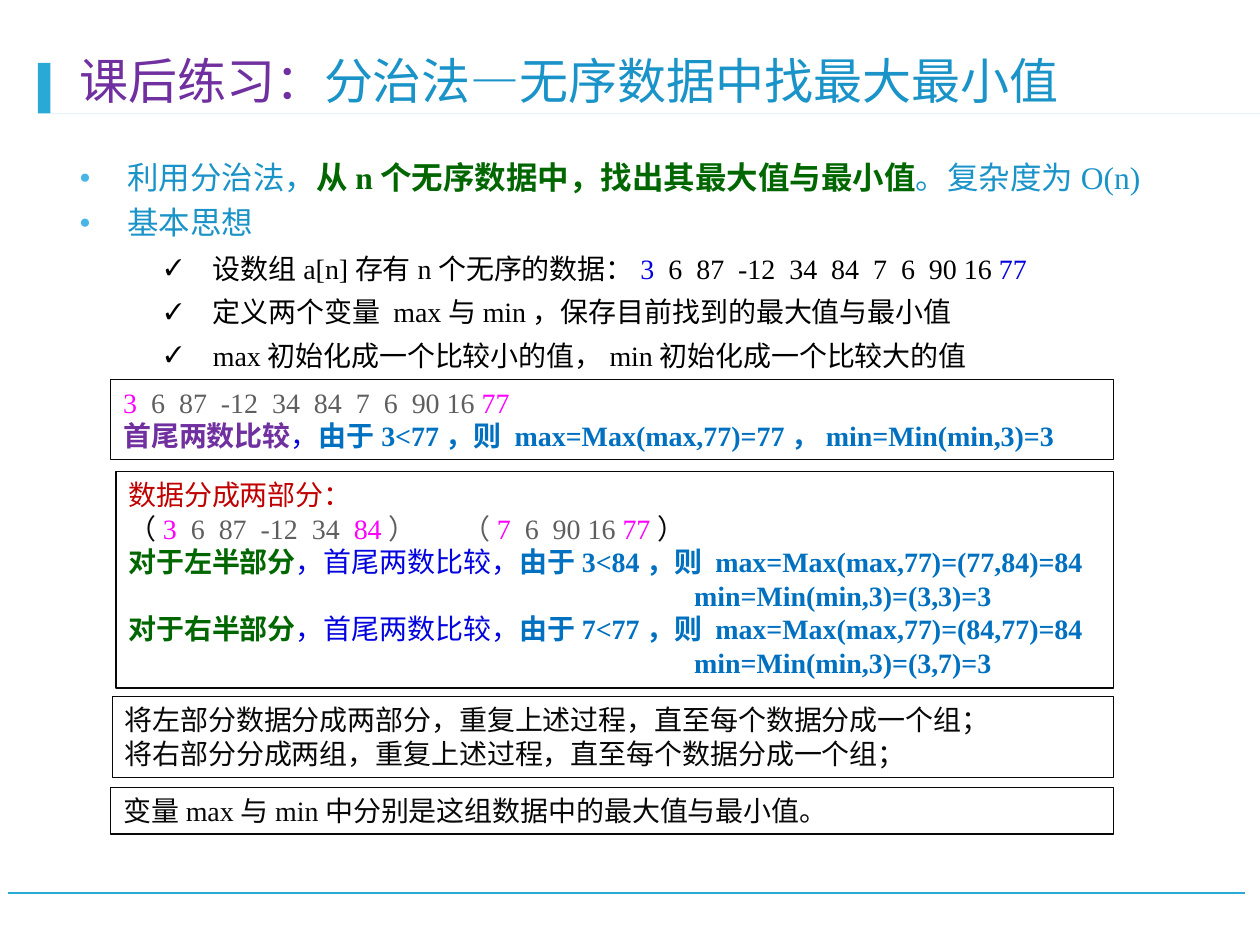
from lxml.etree import SubElement
from pptx import Presentation
from pptx.dml.color import RGBColor
from pptx.enum.shapes import MSO_CONNECTOR, MSO_SHAPE
from pptx.enum.text import MSO_ANCHOR, MSO_AUTO_SIZE, PP_ALIGN
from pptx.oxml.ns import qn
from pptx.util import Inches, Pt

THEME = {
    "font": "Times New Roman",
    "title": 28, "point": 18, "detail": 16,
    "rule": "28A9D6", "sky": "1A93C8", "bullet": "47B6E7", "violet": "7030A0",
    "green": "006600", "black": "000000", "ink": "080808", "navy": "0303DF",
    "pink": "FF00FF", "grey": "5F5F5F", "blue": "0070C0", "red": "C00000",
}
BOLD = {"green", "blue"}

prs = Presentation()
prs.slide_width, prs.slide_height = Inches(10), Inches(7.5)
COL, ROW = prs.slide_width / 100, prs.slide_height / 75
slide = prs.slides.add_slide(prs.slide_layouts[1])


def colour(name):
    return RGBColor.from_string(THEME[name])


def write(paragraph, size, pieces, **layout):
    """Add (text, colour name[, bold]) pieces and apply paragraph settings."""
    settings = {"alignment": PP_ALIGN.LEFT, "space_before": Pt(0), **layout}
    for attribute, value in settings.items():
        setattr(paragraph, attribute, value)
    for text, tint, *bold in pieces:
        run = paragraph.add_run()
        run.text = text
        run.font.color.rgb = colour(tint)
        formats = {"name": THEME["font"], "size": Pt(THEME[size]),
                   "bold": bold[0] if bold else tint in BOLD}
        for attribute, value in formats.items():
            setattr(run.font, attribute, value)


# Footer rule and the double bar with its tapering underline
footer_rule = slide.shapes.add_connector(
    MSO_CONNECTOR.STRAIGHT, int(98.8 * COL), int(70.9 * ROW), int(0.6 * COL), int(70.9 * ROW))
footer_rule.line.color.rgb = colour("rule")
footer_rule.line.width = Pt(1.25)
SubElement(footer_rule._element.spPr, qn("a:effectLst"))

outline = [(4.1, 4.6), (4.1, 9.2), (14, 9.2), (100.9, 9.4), (3.9, 9.4), (3.9, 4.8),
           (3.6, 4.8), (3.6, 9.4), (2.7, 9.4), (2.7, 4.6), (3, 4.6), (3, 9.1),
           (3.3, 9.1), (3.3, 4.6)]
builder = slide.shapes.build_freeform(*outline[0], scale=(COL, ROW))
builder.add_line_segments(outline[1:], close=True)
title_mark = builder.convert_to_shape()
title_mark.shadow.inherit = False
title_mark.fill.solid()
title_mark.fill.fore_color.rgb = colour("rule")
title_mark.line.fill.background()

# Title and body placeholders
title, body = slide.placeholders
for holder, (left, top, width, height), anchor in (
        (title, (5.3, 2.8, 88.5, 6.4), MSO_ANCHOR.BOTTOM),
        (body, (5.3, 12.4, 90.2, 16.6), MSO_ANCHOR.TOP)):
    holder.left, holder.top = int(left * COL), int(top * ROW)
    holder.width, holder.height = int(width * COL), int(height * ROW)
    formats = {"vertical_anchor": anchor, "word_wrap": True, "auto_size": MSO_AUTO_SIZE.NONE}
    for attribute, value in formats.items():
        setattr(holder.text_frame, attribute, value)

write(title.text_frame.paragraphs[0], "title",
      [("课后练习：", "violet"), ("分治法—无序数据中找最大最小值", "sky")], line_spacing=0.9)

LEVELS = [
    {"size": "point", "spacing": 0.9, "margin": 0.38, "scale": 60, "mark": "●", "tint": "bullet"},
    {"size": "detail", "spacing": 1.3, "margin": 1.06, "scale": 80, "mark": "✓", "tint": "black"},
]
points = [
    (0, 13.5, [("利用分治法，", "sky"), ("从n个无序数据中，找出其最大值与最小值", "green"),
               ("。复杂度为O(n)", "sky")]),
    (0, 6, [("基本思想", "sky")]),
    (1, 0, [("设数组a[n]存有n个无序的数据：", "black"), ("3", "navy"),
            ("  6  87  -12  34  84  7  6  90 16 ", "black"), ("77", "navy")]),
    (1, 0, [("定义两个变量 max与min，保存目前找到的最大值与最小值", "black")]),
    (1, 0, [("max初始化成一个比较小的值，min初始化成一个比较大的值", "black")]),
]
for number, (level, before, pieces) in enumerate(points):
    frame, style = body.text_frame, LEVELS[level]
    point = frame.add_paragraph() if number else frame.paragraphs[0]
    write(point, style["size"], pieces, level=level,
          line_spacing=style["spacing"], space_before=Pt(before))
    props = point._p.get_or_add_pPr()
    props.set("marL", str(Inches(style["margin"])))
    props.set("indent", str(Inches(-0.38)))
    SubElement(SubElement(props, qn("a:buClr")), qn("a:srgbClr"), val=THEME[style["tint"]])
    SubElement(props, qn("a:buSzPct"), val=str(style["scale"] * 1000))
    SubElement(props, qn("a:buFont"), typeface=THEME["font"])
    SubElement(props, qn("a:buChar"), char=style["mark"])

# Worked steps: left, top, height and lines of each box
halves = []
for side, first_last, largest, smallest in (
        ("左", "3<84", "(77,84)=84", "(3,3)=3"), ("右", "7<77", "(84,77)=84", "(3,7)=3")):
    halves += [
        [(f"对于{side}半部分", "green"), ("，首尾两数比较，", "navy"),
         (f"由于{first_last}，则 max=Max(max,77)={largest}", "blue")],
        [(f"min=Min(min,3)={smallest}", "blue")],
    ]
steps = [
    (8.8, 30.1, 6.4, [
        [("3", "pink"), ("  6  87  -12  34  84  7  6  90 16 ", "grey"), ("77", "pink")],
        [("首尾两数比较", "violet", True), ("，", "navy"),
         ("由于3<77，则 max=Max(max,77)=77，min=Min(min,3)=3", "blue")]]),
    (9.2, 37.4, 17.2, [
        [("数据分成两部分：", "red")],
        [("（", "ink"), ("3  ", "pink"), ("6  87  -12  34  ", "grey"), ("84", "pink"),
         ("）\t（", "grey"), ("7  ", "pink"), ("6  90 16 ", "grey"), ("77", "pink"),
         ("）", "ink")],
        *halves]),
    (8.9, 55.3, 6.4, [
        [("将左部分数据分成两部分，重复上述过程，直至每个数据分成一个组；", "ink")],
        [("将右部分分成两组，重复上述过程，直至每个数据分成一个组；", "ink")]]),
    (8.8, 62.5, 3.7, [[("变量max与min中分别是这组数据中的最大值与最小值。", "ink")]]),
]
STEPS_RIGHT = 88.4
for left, top, height, lines in steps:
    step = slide.shapes.add_shape(
        MSO_SHAPE.RECTANGLE, int(left * COL), int(top * ROW),
        int((STEPS_RIGHT - left) * COL), int(height * ROW))
    step.shadow.inherit = False
    step.fill.background()
    step.line.color.rgb = colour("ink")
    step.line.width = Pt(0.75)
    frame = step.text_frame
    frame.word_wrap = True
    frame.vertical_anchor = MSO_ANCHOR.TOP
    for number, pieces in enumerate(lines):
        line = frame.add_paragraph() if number else frame.paragraphs[0]
        write(line, "detail", pieces)
        props = line._p.get_or_add_pPr()
        if pieces[0][0].startswith("min="):
            props.set("marL", str(Inches(4.49)))
        if any("\t" in piece[0] for piece in pieces):
            SubElement(SubElement(props, qn("a:tabLst")), qn("a:tab"),
                       pos=str(Inches(2.65)), algn="l")

prs.save("out.pptx")
